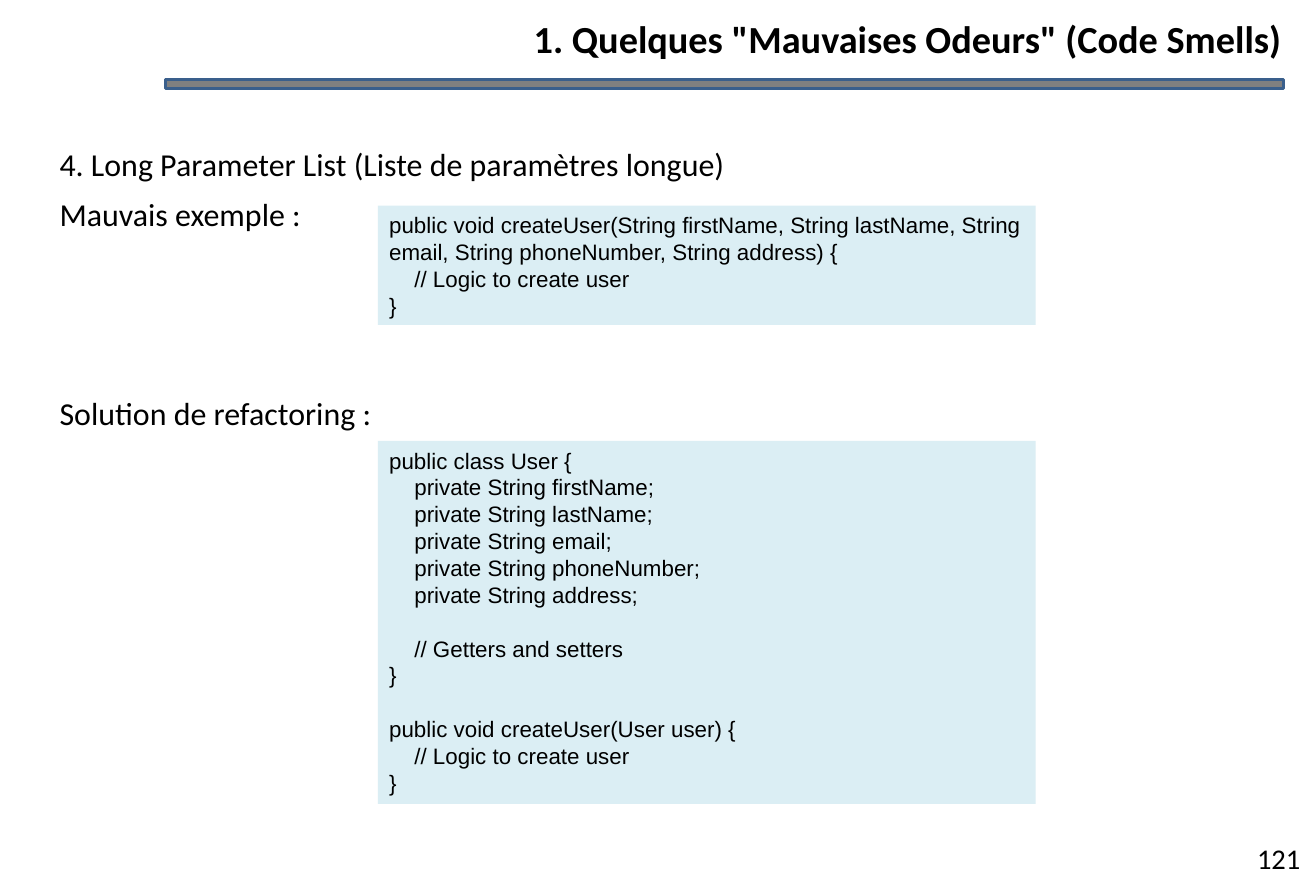
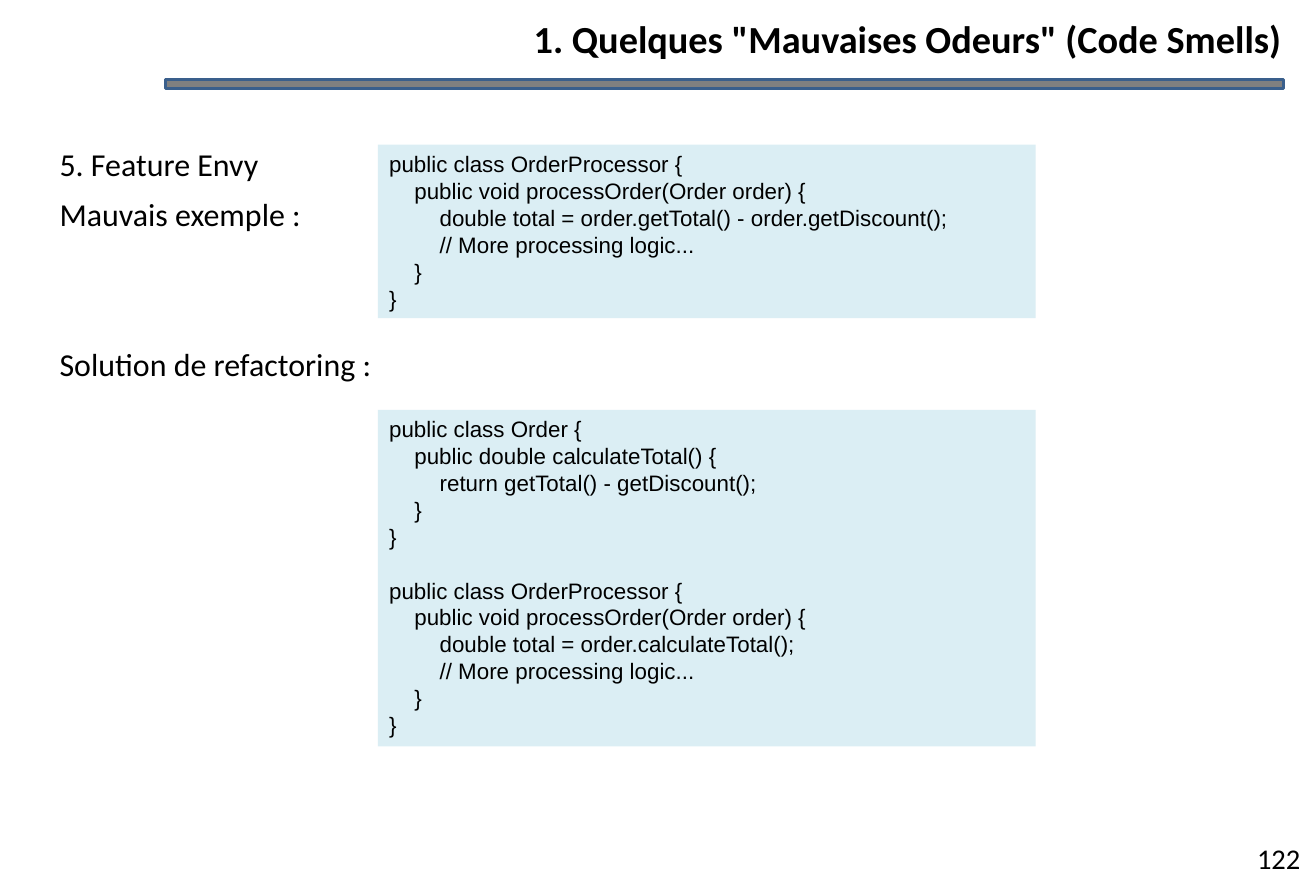
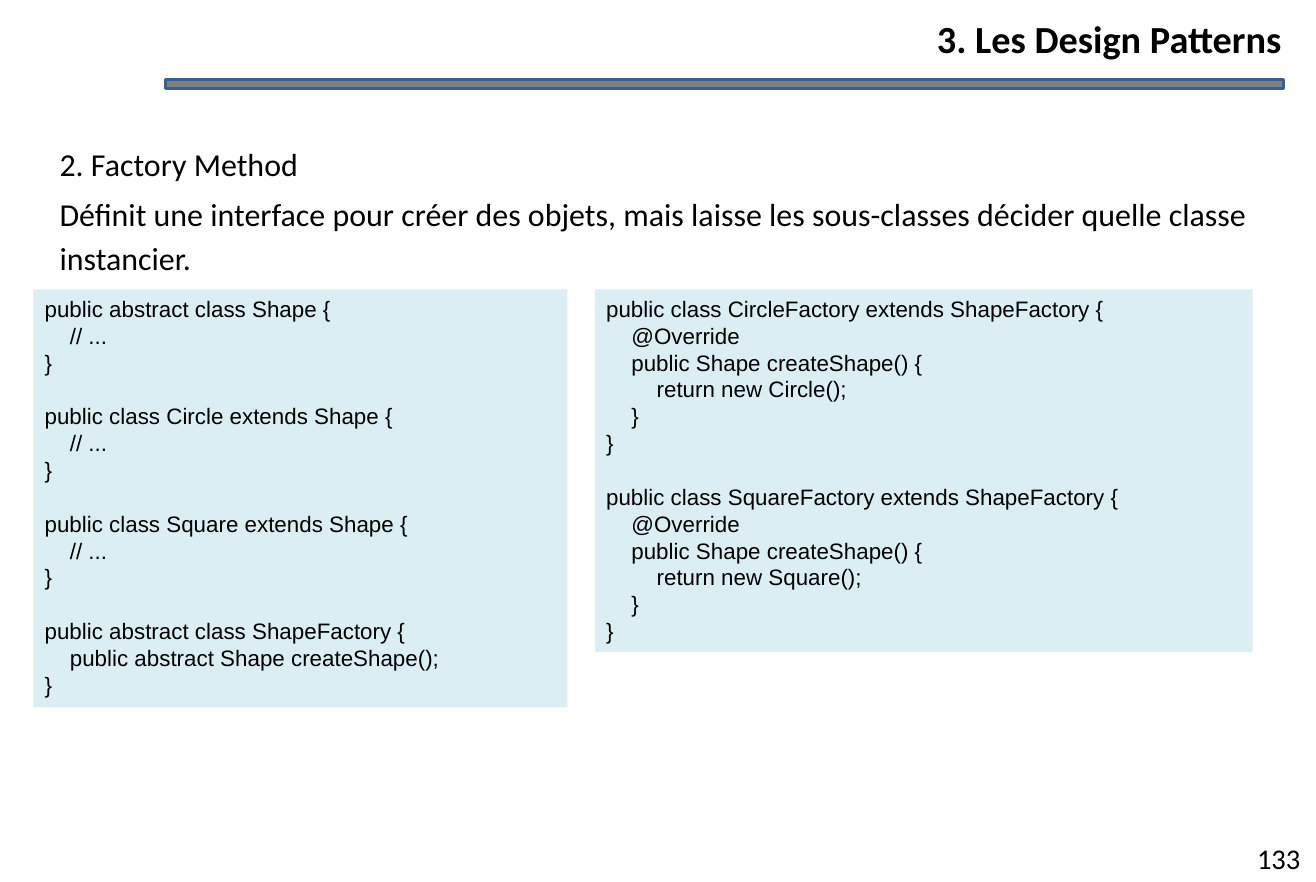
from dataclasses import dataclass

from pptx import Presentation
from pptx.dml.color import RGBColor
from pptx.enum.shapes import MSO_SHAPE
from pptx.enum.text import MSO_ANCHOR, MSO_AUTO_SIZE, PP_ALIGN
from pptx.util import Pt

EMU_PER_PX = 9144  # 100 px to the inch


@dataclass(frozen=True)
class Theme:
    text_color: str = "000000"
    band_fill: str = "808080"
    band_line: str = "3A5F8C"
    code_fill: str = "DBEEF4"
    text_font: str = "Calibri"
    code_font: str = "Arial"
    title_size: float = 24
    body_size: float = 20
    number_size: float = 17.9
    code_size: float = 14
    code_pitch: float = 16.85


THEME = Theme()
CODE_INDENT = 22
BODY_INDENT = 20
SMELLS_TITLE = '1. Quelques "Mauvaises Odeurs" (Code Smells)'

LONG_LIST_BAD = """\
public void createUser(String firstName, String lastName, String email, String phoneNumber, String address) {
    // Logic to create user
}"""

LONG_LIST_SOLUTION = """\
public class User {
    private String firstName;
    private String lastName;
    private String email;
    private String phoneNumber;
    private String address;

    // Getters and setters
}

public void createUser(User user) {
    // Logic to create user
}"""

FEATURE_ENVY_BAD = """\
public class OrderProcessor {
    public void processOrder(Order order) {
        double total = order.getTotal() - order.getDiscount();
        // More processing logic...
    }
}"""

FEATURE_ENVY_SOLUTION = """\
public class Order {
    public double calculateTotal() {
        return getTotal() - getDiscount();
    }
}

public class OrderProcessor {
    public void processOrder(Order order) {
        double total = order.calculateTotal();
        // More processing logic...
    }
}"""

SHAPE_CLASSES = """\
public abstract class Shape {
    // ...
}

public class Circle extends Shape {
    // ...
}

public class Square extends Shape {
    // ...
}

public abstract class ShapeFactory {
    public abstract Shape createShape();
}"""

SHAPE_FACTORIES = """\
public class CircleFactory extends ShapeFactory {
    @Override
    public Shape createShape() {
        return new Circle();
    }
}

public class SquareFactory extends ShapeFactory {
    @Override
    public Shape createShape() {
        return new Square();
    }
}"""


def px(*lengths):
    return [round(length * EMU_PER_PX) for length in lengths]


def color(value):
    return RGBColor.from_string(value)


def write(shape, lines, *, size, font=THEME.text_font, bold=False,
          align=PP_ALIGN.LEFT, line_spacing=1.0, margin=None):
    """Fill a shape with lines, each given as (text, indent in px, points before)."""
    frame = shape.text_frame
    frame.word_wrap = True
    frame.auto_size = MSO_AUTO_SIZE.NONE
    frame.vertical_anchor = MSO_ANCHOR.TOP
    if margin is not None:
        frame.margin_left = frame.margin_right = margin
        frame.margin_top = frame.margin_bottom = margin
    for index, (text, indent, before) in enumerate(lines):
        paragraph = frame.add_paragraph() if index else frame.paragraphs[0]
        paragraph.alignment = align
        paragraph.line_spacing = line_spacing
        paragraph.space_before = Pt(before)
        properties = paragraph._p.get_or_add_pPr()
        properties.set("marL", str(px(indent)[0]))
        properties.set("indent", "0")
        run = paragraph.add_run()
        run.text = text
        run.font.name = font
        run.font.size = Pt(size)
        run.font.bold = bold
        run.font.color.rgb = color(THEME.text_color)


def add_rectangle(slide, box, fill, line=None):
    rectangle = slide.shapes.add_shape(MSO_SHAPE.RECTANGLE, *px(*box))
    rectangle.shadow.inherit = False
    rectangle.fill.solid()
    rectangle.fill.fore_color.rgb = color(fill)
    if line:
        rectangle.line.color.rgb = color(line)
        rectangle.line.width = Pt(2)
    else:
        rectangle.line.fill.background()
    return rectangle


def add_code(slide, left, top, code, width=573, wrapped_lines=0):
    """Draw a code panel as tall as its lines; empty lines become spacing."""
    lines, before = [], 0
    source_lines = code.splitlines()
    for source_line in source_lines:
        text = source_line.lstrip()
        if not text:
            before = THEME.code_pitch
            continue
        level = (len(source_line) - len(text)) // 4
        lines.append((text, level * CODE_INDENT, before))
        before = 0
    height = round(23.6 * (len(source_lines) + wrapped_lines) + 9.6)
    panel = add_rectangle(slide, (left, top, width, height), THEME.code_fill)
    write(panel, lines, size=THEME.code_size, font=THEME.code_font,
          line_spacing=Pt(THEME.code_pitch))


def add_body(slide, height, *lines):
    """Write body lines, given as (text, points before)."""
    body = slide.shapes.add_textbox(*px(22, 116, 1102, height))
    write(body, [(text, BODY_INDENT, before) for text, before in lines],
          size=THEME.body_size, line_spacing=1.15)


def add_smell(slide, name, height, solution_gap):
    add_body(slide, height, (name, 4), ("Mauvais exemple :", 4),
             ("Solution de refactoring :", solution_gap))


def add_slide(deck, layout, title_text, number):
    slide = deck.slides.add_slide(layout)
    title = slide.shapes.title
    title.left, title.top, title.width, title.height = px(195, 13, 921, 40)
    write(title, [(title_text, 0, 0)], size=THEME.title_size, bold=True,
          align=PP_ALIGN.RIGHT, margin=0)
    number_box = slide.shapes.add_textbox(*px(1081, 727, 65, 41))
    write(number_box, [(str(number), 0, 0)], size=THEME.number_size,
          align=PP_ALIGN.CENTER)
    return slide


def share_band(slide, layout):
    """Draw the title band and move it to the layout, for all slides."""
    band = add_rectangle(slide, (144, 69, 974, 8), THEME.band_fill, THEME.band_line)
    layout.element.cSld.spTree.append(band.element)


def main():
    deck = Presentation()
    deck.slide_width, deck.slide_height = px(1146, 768)
    layout = deck.slide_layouts[5]

    long_list = add_slide(deck, layout, SMELLS_TITLE, 121)
    share_band(long_list, layout)
    add_smell(long_list, "4. Long Parameter List (Liste de paramètres longue)", 273, 97)
    add_code(long_list, 329, 179, LONG_LIST_BAD, wrapped_lines=1)
    add_code(long_list, 329, 384, LONG_LIST_SOLUTION)

    feature_envy = add_slide(deck, layout, SMELLS_TITLE, 122)
    add_smell(feature_envy, "5. Feature Envy", 228, 66)
    add_code(feature_envy, 329, 126, FEATURE_ENVY_BAD)
    add_code(feature_envy, 329, 357, FEATURE_ENVY_SOLUTION)

    factory = add_slide(deck, layout, "3. Les Design Patterns", 133)
    add_body(factory, 130, ("2. Factory Method", 4),
             ("Définit une interface pour créer des objets, mais laisse les "
              "sous-classes décider quelle classe instancier.", 4))
    add_code(factory, 29, 252, SHAPE_CLASSES, width=465)
    add_code(factory, 518, 252, SHAPE_FACTORIES)

    deck.save("out.pptx")


if __name__ == "__main__":
    main()
